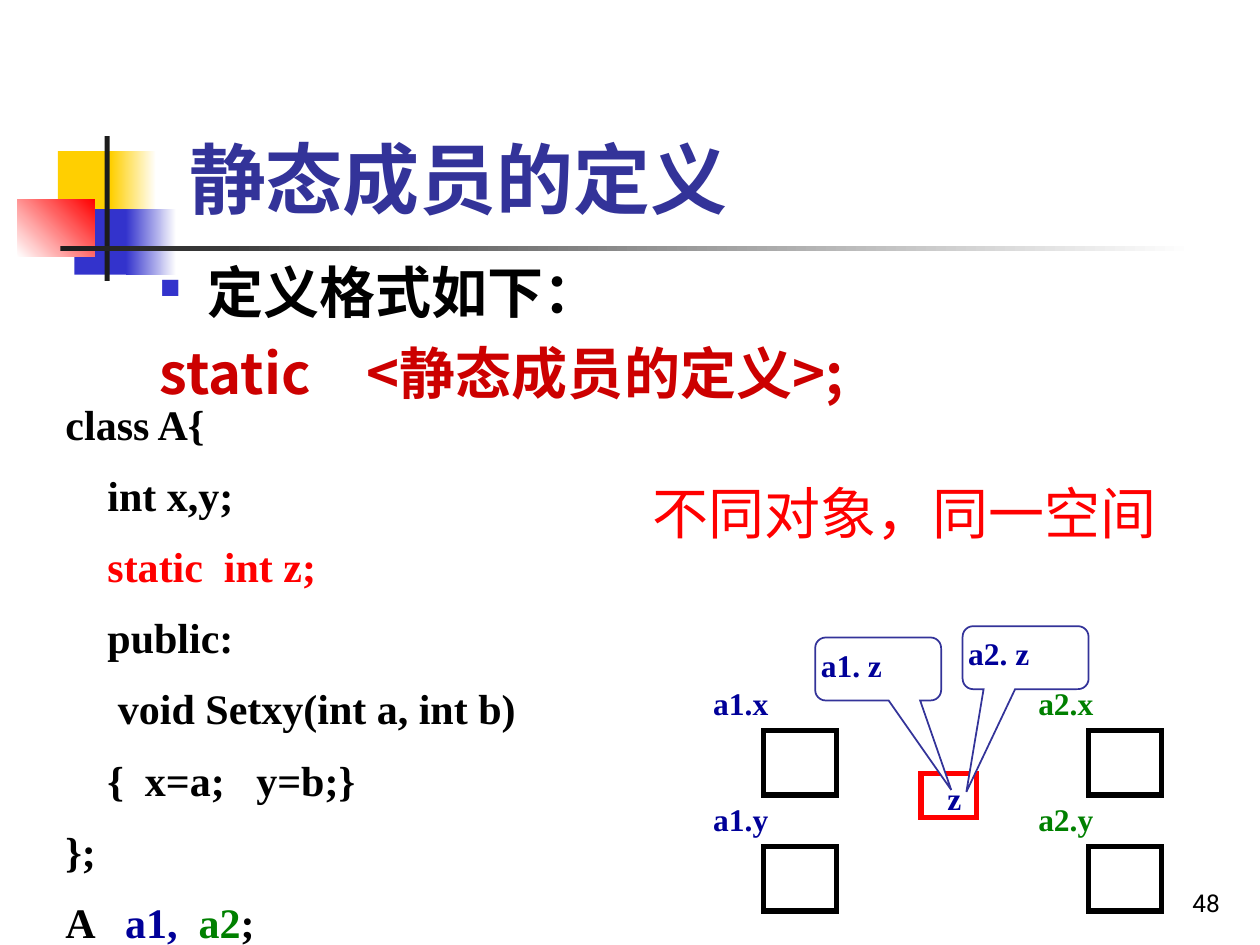
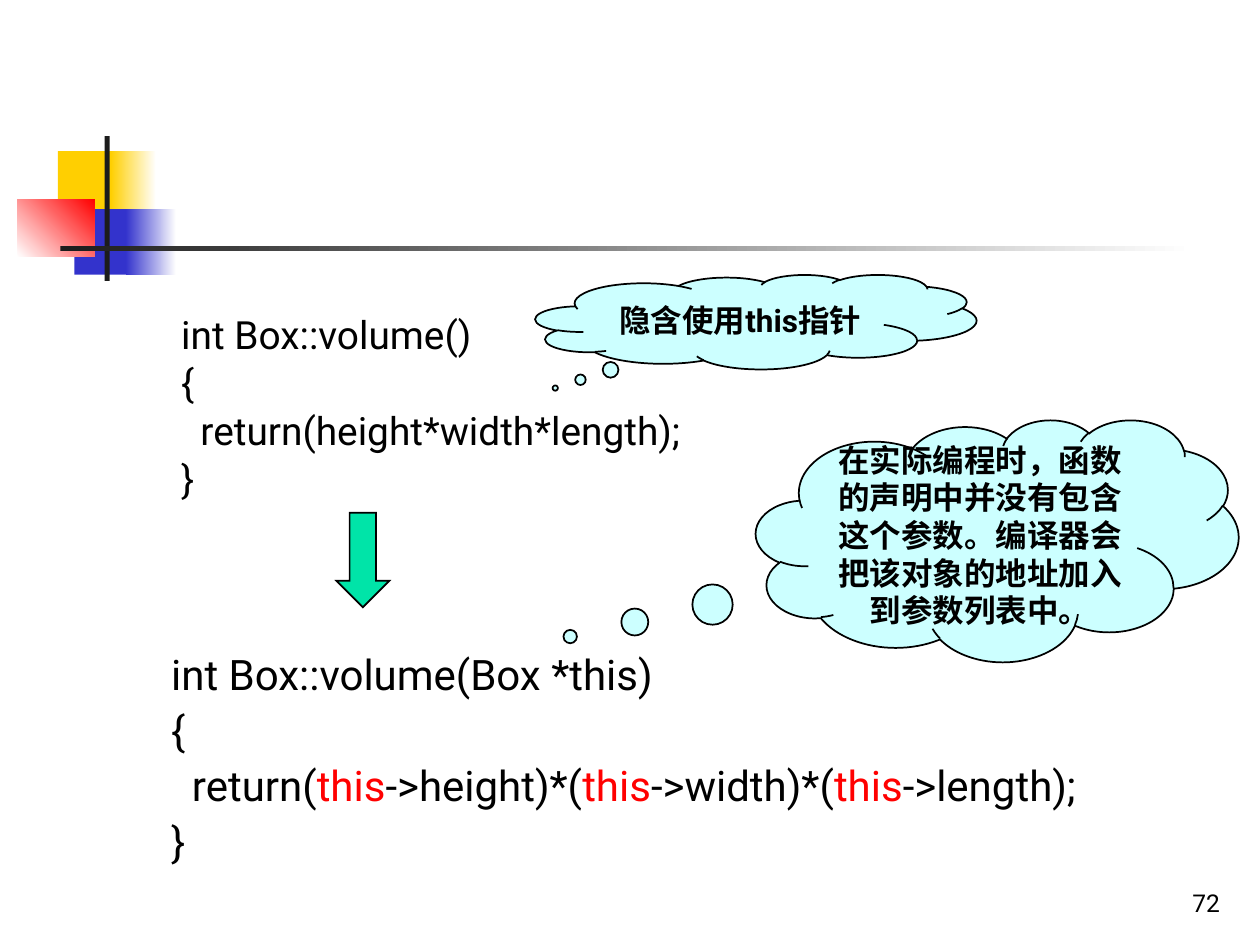
import pptx
import pptx.util
import pptx.dml.color
import pptx.enum.shapes
import pptx.enum.text
from lxml import etree

Inches = pptx.util.Inches
Pt = pptx.util.Pt
RGB = pptx.dml.color.RGBColor
MSO = pptx.enum.shapes.MSO_SHAPE
ALIGN = pptx.enum.text.PP_ALIGN
ANCHOR = pptx.enum.text.MSO_ANCHOR

BLACK = RGB(0x00, 0x00, 0x00)
WHITE = RGB(0xFF, 0xFF, 0xFF)
RED = RGB(0xFF, 0x00, 0x00)
DARK_RED = RGB(0xCC, 0x00, 0x00)
YELLOW = RGB(0xFF, 0xCF, 0x01)
BLUE = RGB(0x33, 0x33, 0xCC)
TITLE_BLUE = RGB(0x33, 0x33, 0x99)
NAVY = RGB(0x00, 0x00, 0x99)
GREEN = RGB(0x00, 0x80, 0x00)
CHARCOAL = RGB(0x1C, 0x1C, 0x1C)
PALE_CYAN = RGB(0xCC, 0xFF, 0xFF)
MINT = RGB(0x00, 0xE4, 0xA8)

CJK = "Noto Sans CJK SC"
SANS = "Roboto"
SERIF = "Times New Roman"
NS = "http://schemas.openxmlformats.org/drawingml/2006/main"
THIN = (0.02, 0.01, 0.02, 0.01)
NORMAL = (0.1, 0.05, 0.1, 0.05)


def add_shape(s, kind, at, fill=None, to=None, angle=0, line=None, width=1, adj=()):
    """Add a preset shape; a second colour (to) makes the fill a gradient."""
    sp = s.shapes.add_shape(kind, *[Inches(v) for v in at])
    sp.shadow.inherit = False
    for i, value in enumerate(adj):
        sp.adjustments[i] = value
    if to is not None:
        sp.fill.gradient()
        sp.fill.gradient_angle = angle
        for stop, color in zip(sp.fill.gradient_stops, (fill, to)):
            stop.color.rgb = color
    elif fill is not None:
        sp.fill.solid()
        sp.fill.fore_color.rgb = fill
    else:
        sp.fill.background()
    if line is None:
        sp.line.fill.background()
    else:
        sp.line.color.rgb = line
        sp.line.width = Pt(width)
        ln = sp._element.spPr.find(f"{{{NS}}}ln")
        etree.SubElement(ln, f"{{{NS}}}miter", lim="800000")
    return sp


def add_text(s, text, at=None, sp=None, size=18, font=SANS, ea=None, color=BLACK,
             bold=False, align=ALIGN.LEFT, anchor=ANCHOR.TOP, inset=NORMAL,
             spacing=None, before=0):
    """Write paragraphs, each a string or a list of (text, colour) runs."""
    if sp is None:
        sp = s.shapes.add_textbox(*[Inches(v) for v in at])
    tf = sp.text_frame
    tf.word_wrap = True
    tf.vertical_anchor = anchor
    tf.margin_left, tf.margin_top, tf.margin_right, tf.margin_bottom = map(Inches, inset)
    for i, runs in enumerate([text] if isinstance(text, str) else text):
        p = tf.add_paragraph() if i else tf.paragraphs[0]
        p.alignment = align
        if spacing:
            p.line_spacing = spacing
        p.space_before = Pt(before if i else 0)
        for words, run_color in [(runs, color)] if isinstance(runs, str) else runs:
            r = p.add_run()
            r.text = words
            r.font.size = Pt(size)
            r.font.name = font
            r.font.bold = bold
            r.font.color.rgb = run_color
            etree.SubElement(r.font._element, f"{{{NS}}}ea", typeface=ea or font)
    return tf


prs = pptx.Presentation()
prs.slide_width, prs.slide_height = Inches(10), Inches(7.5)

# Shared decoration and page number
slides = []
for number in ("48", "72"):
    s = prs.slides.add_slide(prs.slide_layouts[6])
    add_shape(s, MSO.RECTANGLE, (0.46, 1.2, 0.48, 0.52), YELLOW)
    add_shape(s, MSO.RECTANGLE, (0.88, 1.2, 0.36, 0.52), YELLOW, to=WHITE)
    add_shape(s, MSO.RECTANGLE, (0.59, 1.66, 0.46, 0.52), BLUE)
    add_shape(s, MSO.RECTANGLE, (1, 1.66, 0.4, 0.52), BLUE, to=WHITE)
    add_shape(s, MSO.RECTANGLE, (0.14, 1.58, 0.61, 0.46), WHITE, to=RED, angle=45)
    add_shape(s, MSO.RECTANGLE, (0.83, 1.08, 0.04, 1.15), CHARCOAL)
    add_shape(s, MSO.RECTANGLE, (0.48, 1.95, 9, 0.04), CHARCOAL, to=WHITE)
    add_text(s, number, (7.7, 6.83, 2.08, 0.5), size=14, align=ALIGN.RIGHT,
             anchor=ANCHOR.BOTTOM)
    slides.append(s)

# Slide 1: title and definition format
s = slides[0]
add_text(s, "静态成员的定义", (1.26, 0.23, 8.52, 1.6), size=44, font=CJK, color=TITLE_BLUE,
         bold=True, anchor=ANCHOR.BOTTOM, inset=(0.24, 0.05, 0.1, 0.05))
tf = add_text(s, ["定义格式如下：", [("static　<静态成员的定义>;", DARK_RED)]],
              (1.17, 2, 8.5, 4.5), size=32, font=CJK, bold=True,
              spacing=Pt(38.3), before=8)
pPr = tf.paragraphs[0]._p.get_or_add_pPr()
pPr.set("marL", str(Inches(0.38)))
pPr.set("indent", str(-Inches(0.38)))
color = etree.SubElement(etree.SubElement(pPr, f"{{{NS}}}buClr"), f"{{{NS}}}srgbClr")
color.set("val", str(BLUE))
etree.SubElement(pPr, f"{{{NS}}}buSzPct", val="50000")
etree.SubElement(pPr, f"{{{NS}}}buChar", char="■")

# Class listing
code = [
    "class A{",
    "    int x,y;",
    [("    static  int z;", RED)],
    "    public:",
    "     void Setxy(int a, int b)",
    "    {  x=a;   y=b;}",
    "};",
    [("A   ", BLACK), ("a1,  ", NAVY), ("a2", GREEN), (";", BLACK)],
]
add_text(s, code, (0.5, 3.11, 4.33, 4.42), size=24, font=SERIF, bold=True,
         inset=THIN, spacing=1.1, before=9)

# Memory cells of each object
label = dict(font=SERIF, bold=True, inset=THIN, spacing=1.1)
for name, left, color in (("a1", 5.64, NAVY), ("a2", 8.22, GREEN)):
    for member, top in (("x", 5.39), ("y", 6.31)):
        add_shape(s, MSO.RECTANGLE, (left + 0.42, top + 0.41, 0.58, 0.51),
                  line=BLACK, width=3)
        add_text(s, f"{name}.{member}", (left, top, 0.75, 0.35), color=color, **label)

# Shared static cell with its two callouts
sp = add_shape(s, MSO.RECTANGLE, (7.31, 6.14, 0.44, 0.35), line=RED, width=3)
add_text(s, "z", sp=sp, color=NAVY, **{**label, "inset": (0.21, 0.01, 0.02, 0.01)})
for words, left, top, adj in (("a1. z", 6.47, 5.06, (0.58, 1.92, 0.167)),
                              ("a2. z", 7.64, 4.97, (-0.47, 2.13, 0.167))):
    sp = add_shape(s, MSO.ROUNDED_RECTANGULAR_CALLOUT, (left, top, 1, 0.5), WHITE,
                   line=TITLE_BLUE, adj=adj)
    add_text(s, words, sp=sp, color=NAVY, **label)
add_text(s, "不同对象，同一空间", (5.08, 3.75, 4.33, 0.64), size=32, font=SERIF, ea=CJK,
         color=RED, spacing=Pt(38.3))

# Slide 2: member function as written
s = slides[1]
code = ["int Box::volume()", "{", "  return(height*width*length);", "}"]
add_text(s, code, (1.34, 2.49, 7.33, 1.58), size=22.2, spacing=0.8, before=6)

# Thought clouds
for words, at, adj in (
    ("在实际编程时，函数的声明中并没有包含这个参数。编译器会把该对象的地址加入到参数列表中。",
     (6, 3.33, 3.83, 1.92), (-0.885, 0.397)),
    ("隐含使用this指针", (4.25, 2.18, 3.5, 0.75), (-0.455, 0.7)),
):
    sp = add_shape(s, MSO.CLOUD_CALLOUT, at, PALE_CYAN, line=BLACK, adj=adj)
    add_text(s, words, sp=sp, bold=True, align=ALIGN.CENTER, anchor=ANCHOR.MIDDLE,
             spacing=Pt(21.5))

# Member function as compiled
this = ("this", RED)
code = [
    "int Box::volume(Box *this)",
    "{",
    [("  return(", BLACK), this, ("->height)*(", BLACK), this, ("->width)*(", BLACK),
     this, ("->length);", BLACK)],
    "}",
]
add_text(s, code, (1.26, 5.14, 7.91, 2.15), size=24, spacing=0.9, before=6)
add_shape(s, MSO.DOWN_ARROW, (2.67, 4.07, 0.42, 0.75), MINT, line=BLACK, adj=(0.5, 0.5))

prs.save("out.pptx")
